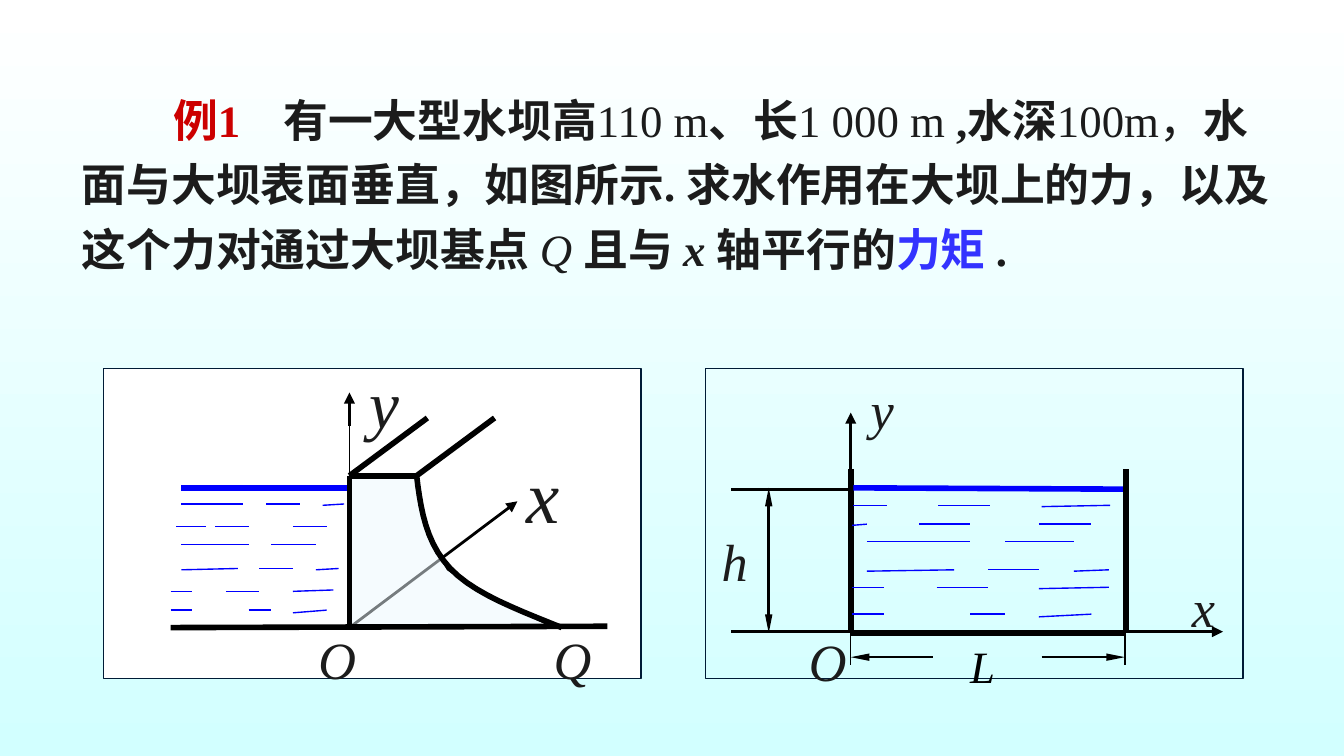
"""Build the slide with the dam problem and its two diagrams."""
from dataclasses import dataclass

from lxml.etree import SubElement
from pptx import Presentation
from pptx.dml.color import RGBColor as Rgb
from pptx.enum.shapes import MSO_CONNECTOR as Connector, MSO_SHAPE as Preset
from pptx.enum.text import MSO_AUTO_SIZE as AutoSize
from pptx.oxml.ns import qn
from pptx.util import Pt


@dataclass(frozen=True)
class Theme:
    font: str = "Times New Roman"
    ink: str = "1C1C1C"
    black: str = "000000"
    white: str = "FFFFFF"
    sky: str = "D2FFFF"
    frame: str = "001B36"
    water: str = "0000FF"
    dam: str = "EDF8FE"
    example: str = "CC0000"
    accent: str = "3333FF"
    body: int = 24
    label: int = 28
    y_label: int = 36
    x_label: int = 40
    thin: float = 0.75
    medium: float = 1.5
    thick: float = 3


THEME = Theme()
PX = 9144


def write(paragraph, text, size=THEME.body, color=THEME.ink, bold=False, italic=False):
    run = paragraph.add_run()
    run.text = text
    font = run.font
    font.name, font.size = THEME.font, Pt(size)
    font.bold, font.italic = bold, italic
    font.color.rgb = Rgb.from_string(color)


def draw_line(shapes, ends, color=THEME.black, width=THEME.thin, heads=(), narrow=False):
    line = shapes.add_connector(Connector.STRAIGHT, *(v * PX for v in ends))
    line.line.color.rgb = Rgb.from_string(color)
    line.line.width = Pt(width)
    outline = line.line._get_or_add_ln()
    for head in heads:
        arrow = SubElement(outline, qn(f"a:{head}"), type="triangle")
        if narrow:
            arrow.set("w", "sm")
            arrow.set("len", "lg")
    SubElement(line._element.spPr, qn("a:effectLst"))


prs = Presentation()
prs.slide_width = 1000 * PX
prs.slide_height = prs.slide_width * 9 // 16
slide = prs.slides.add_slide(prs.slide_layouts[6])
backdrop = slide.background.fill
backdrop.gradient()
backdrop.gradient_angle = 270
for stop, color, position in zip(backdrop.gradient_stops, (THEME.white, THEME.sky), (0, 1)):
    stop.color.rgb = Rgb.from_string(color)
    stop.position = position

# Problem statement
problem = slide.shapes.add_textbox(51 * PX, 56 * PX, 914 * PX, 154 * PX).text_frame
problem.word_wrap = True
problem.auto_size = AutoSize.SHAPE_TO_FIT_TEXT
statement = problem.paragraphs[0]
properties = statement._p.get_or_add_pPr()
properties.set("indent", str(68 * PX))
tabs = SubElement(properties, qn("a:tabLst"))
for position in (169, 517):
    SubElement(tabs, qn("a:tab"), pos=str(position * PX), algn="l")
statement.line_spacing = 1.2
for text, style in (
    ("例1\t", {"bold": True, "color": THEME.example}),
    ("有一大型水坝高", {"bold": True}),
    ("110 m", {}),
    ("、长", {"bold": True}),
    ("1 000 m ", {}),
    (",水深", {"bold": True}),
    ("100m，", {}),
    ("水面与大坝表面垂直，如图所示.\t求水作用在大坝上的力，以及这个力对通过大坝基点 ", {"bold": True}),
    ("Q ", {"italic": True}),
    ("且与 ", {"bold": True}),
    ("x ", {"bold": True, "italic": True}),
    ("轴平行的", {"bold": True}),
    ("力矩 ", {"bold": True, "color": THEME.accent}),
    (".", {"bold": True}),
):
    write(statement, text, **style)

# Frames of the two diagrams
section = slide.shapes.add_group_shape().shapes
front = slide.shapes
for shapes, left in ((section, 77), (front, 525)):
    frame = shapes.add_shape(Preset.RECTANGLE, left * PX, 274 * PX, 400 * PX, 231 * PX)
    frame.shadow.inherit = False
    frame.line.color.rgb = Rgb.from_string(THEME.frame)
    frame.line.width = Pt(THEME.thin)
    if shapes is section:
        frame.fill.solid()
        frame.fill.fore_color.rgb = Rgb.from_string(THEME.white)
    else:
        frame.fill.background()

# Dam section: body and curved face
draw_line(section, (260, 467, 385, 373), width=THEME.medium, heads=["tailEnd"])
dam_outline = [(260, 467), (412, 467), (360, 442), (333, 424), (318, 398), (310, 354), (260, 354)]
face = [(310, 354)]
for curve in (
    ((310, 354), (313, 379), (317, 404), (335, 423)),
    ((335, 423), (353, 442), (386, 454), (418, 467)),
):
    for step in range(1, 11):
        t = step / 10
        weights = ((1 - t) ** 3, 3 * t * (1 - t) ** 2, 3 * t * t * (1 - t), t ** 3)
        face.append(tuple(sum(w * p[axis] for w, p in zip(weights, curve)) for axis in (0, 1)))
for points, closed, width in ((dam_outline, True, THEME.thin), (face, False, THEME.thick)):
    start, *rest = [(round(x * PX), round(y * PX)) for x, y in points]
    builder = section.build_freeform(*start)
    builder.add_line_segments(rest, close=closed)
    part = builder.convert_to_shape()
    part.shadow.inherit = False
    part.line.color.rgb = Rgb.from_string(THEME.black)
    part.line.width = Pt(width)
    if closed:
        part.fill.solid()
        part.fill.fore_color.rgb = Rgb.from_string(THEME.dam)
        tint = part._element.spPr.find(f"{qn('a:solidFill')}/{qn('a:srgbClr')}")
        SubElement(tint, qn("a:alpha"), val="50000")
    else:
        part.fill.background()

# Walls, ground and water surface
for shapes, ends, color in (
    (section, (127, 467, 452, 466), THEME.black),
    (section, (260, 354, 310, 354), THEME.black),
    (section, (135, 363, 260, 363), THEME.water),
    (section, (310, 354, 368, 311), THEME.black),
    (section, (260, 354, 318, 311), THEME.black),
    (section, (260, 354, 260, 467), THEME.black),
    (front, (633, 349, 633, 471), THEME.black),
    (front, (635, 363, 838, 364), THEME.water),
    (front, (838, 349, 838, 471), THEME.black),
    (front, (633, 471, 838, 471), THEME.black),
):
    draw_line(shapes, ends, color, THEME.thick)

# Ripples in the water
section_ripples = (
    (135, 375, 181, 375), (198, 375, 223, 375), (240, 376, 256, 375),
    (131, 392, 153, 392), (160, 392, 185, 392), (218, 392, 243, 392),
    (135, 405, 185, 405), (202, 405, 235, 405),
    (135, 424, 177, 423), (193, 423, 218, 423), (235, 424, 252, 423),
    (127, 440, 143, 440), (168, 440, 193, 440), (218, 440, 248, 439),
    (127, 454, 143, 454), (185, 454, 202, 454), (218, 456, 243, 454),
)
front_ripples = (
    (642, 363, 692, 363), (717, 363, 742, 363), (792, 363, 817, 363),
    (635, 376, 660, 376), (698, 376, 737, 376), (775, 377, 826, 376),
    (633, 391, 645, 390), (684, 390, 722, 390), (773, 390, 812, 390),
    (645, 403, 722, 403), (748, 403, 799, 403),
    (645, 425, 710, 424), (735, 424, 773, 424), (799, 425, 825, 424),
    (633, 437, 658, 437), (697, 437, 735, 437), (773, 438, 825, 437),
    (633, 457, 658, 457), (722, 457, 748, 457), (773, 459, 812, 457),
)
for shapes, ripples in ((section, section_ripples), (front, front_ripples)):
    for ends in ripples:
        draw_line(shapes, ends, THEME.water)

# Axes and dimensions
draw_line(section, (260, 317, 260, 467))
draw_line(section, (260, 317, 260, 292), width=THEME.medium, heads=["tailEnd"])
draw_line(front, (633, 307, 633, 470), width=THEME.medium, heads=["headEnd"])
draw_line(front, (544, 470, 910, 470), width=THEME.medium, heads=["tailEnd"])
draw_line(front, (544, 364, 635, 364), width=THEME.medium)
draw_line(front, (572, 363, 572, 471), width=THEME.medium, heads=["headEnd", "tailEnd"], narrow=True)
for edge, inner in ((633, 694), (837, 775)):
    draw_line(front, (edge, 471, edge, 495))
    draw_line(front, (inner, 489, edge, 489), heads=["tailEnd"], narrow=True)

# Labels
for shapes, text, box, size, color in (
    (section, "Q", (402, 462, 48, 57), THEME.label, THEME.ink),
    (section, "y", (265, 264, 42, 70), THEME.y_label, THEME.ink),
    (section, "O", (227, 462, 48, 57), THEME.label, THEME.ink),
    (section, "x", (382, 329, 44, 77), THEME.x_label, THEME.ink),
    (front, "y", (638, 276, 37, 57), THEME.label, THEME.ink),
    (front, "O", (592, 463, 48, 57), THEME.label, THEME.ink),
    (front, "h", (527, 389, 39, 57), THEME.label, THEME.ink),
    (front, "x", (877, 423, 37, 57), THEME.label, THEME.ink),
    (front, "L", (712, 470, 54, 50), THEME.body, THEME.black),
):
    label = shapes.add_textbox(*(v * PX for v in box)).text_frame
    label.word_wrap = text == "L"
    label.auto_size = AutoSize.SHAPE_TO_FIT_TEXT
    write(label.paragraphs[0], text, size=size, color=color, italic=True)

prs.save("out.pptx")
